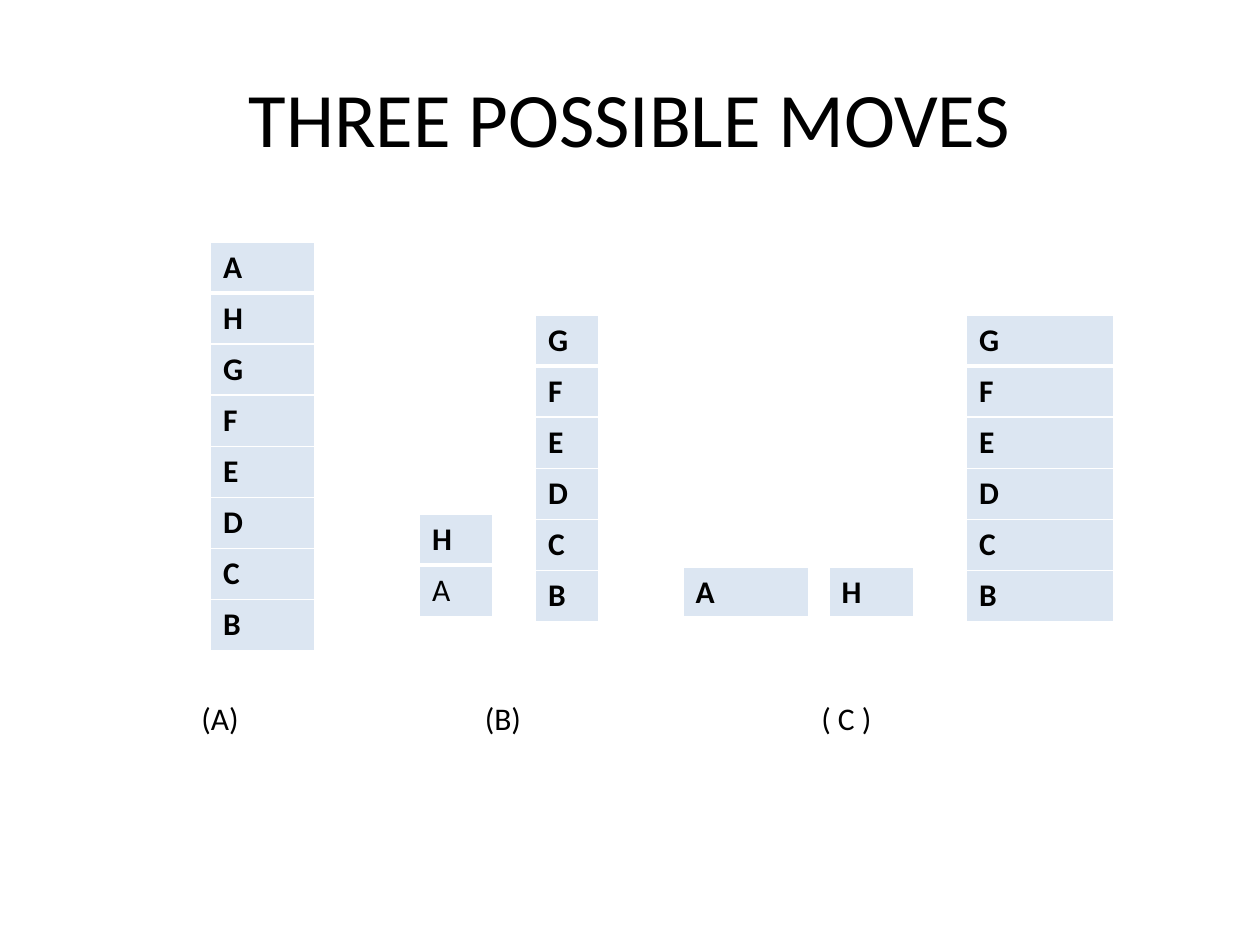
import dataclasses

import lxml.etree
import pptx
import pptx.dml.color
import pptx.enum.text
import pptx.oxml.ns
import pptx.util

Inches = pptx.util.Inches
Pt = pptx.util.Pt


@dataclasses.dataclass(frozen=True)
class Theme:
    font: str = "Calibri"
    text: str = "000000"
    block: str = "DCE6F2"
    border: str = "FFFFFF"
    title_size: int = 44
    body_size: int = 18
    thin: int = 1
    thick: int = 3
    row_height: int = Inches(3.24) // 8


class SlideBuilder:
    def __init__(self, prs, theme):
        self.theme = theme
        self.slide = prs.slides.add_slide(prs.slide_layouts[5])

    def add_run(self, p, text, size, bold=False):
        r = p.add_run()
        r.text = text
        r.font.name = self.theme.font
        r.font.size = Pt(size)
        r.font.bold = bold
        r.font.color.rgb = pptx.dml.color.RGBColor.from_string(self.theme.text)

    def title(self, text, left, top, width, height):
        sp = self.slide.shapes.title
        sp.left, sp.top = Inches(left), Inches(top)
        sp.width, sp.height = Inches(width), Inches(height)
        tf = sp.text_frame
        tf.vertical_anchor = pptx.enum.text.MSO_ANCHOR.MIDDLE
        p = tf.paragraphs[0]
        p.alignment = pptx.enum.text.PP_ALIGN.CENTER
        self.add_run(p, text, self.theme.title_size)

    def label(self, text, left, top, width, height):
        sp = self.slide.shapes.add_textbox(
            Inches(left), Inches(top), Inches(width), Inches(height))
        tf = sp.text_frame
        tf.word_wrap = True
        tf.auto_size = pptx.enum.text.MSO_AUTO_SIZE.SHAPE_TO_FIT_TEXT
        self.add_run(tf.paragraphs[0], text, self.theme.body_size)

    def cell_borders(self, cell, widths):
        """Draw the borders; widths maps each side (L, R, T, B) to points."""
        qn = pptx.oxml.ns.qn
        tc_pr = cell._tc.get_or_add_tcPr()
        for side, width in widths.items():
            ln = lxml.etree.SubElement(tc_pr, qn(f"a:ln{side}"), w=str(Pt(width)))
            fill = lxml.etree.SubElement(ln, qn("a:solidFill"))
            lxml.etree.SubElement(fill, qn("a:srgbClr"), val=self.theme.border)

    def stack(self, letters, left, top, width, plain=""):
        """Pile one block per letter, top first; letters in plain are not bold."""
        theme = self.theme
        table = self.slide.shapes.add_table(
            len(letters), 1, Inches(left), Inches(top), Inches(width),
            theme.row_height * len(letters)).table
        table.first_row = table.horz_banding = False
        for i, letter in enumerate(letters):
            cell = table.cell(i, 0)
            self.cell_borders(cell, {
                "L": theme.thin,
                "R": theme.thin,
                "T": theme.thick if i == 1 else theme.thin,
                "B": theme.thick if i == 0 else theme.thin,
            })
            cell.fill.solid()
            cell.fill.fore_color.rgb = pptx.dml.color.RGBColor.from_string(theme.block)
            self.add_run(cell.text_frame.paragraphs[0], letter,
                         theme.body_size, bold=letter not in plain)


def main():
    prs = pptx.Presentation()
    prs.slide_width, prs.slide_height = Inches(10), Inches(7.5)
    s = SlideBuilder(prs, Theme())

    s.title("THREE POSSIBLE MOVES", 0.5, 0.3, 9, 1.25)

    s.stack("AHGFEDCB", 1.67, 1.92, 0.83)
    s.stack("GFEDCB", 4.25, 2.5, 0.5)
    s.stack("HA", 3.33, 4.08, 0.58, plain="A")
    s.stack("GFEDCB", 7.67, 2.5, 1.17)
    s.stack("H", 6.58, 4.5, 0.67)
    s.stack("A", 5.42, 4.5, 1)

    for text, left, width in (("(A)", 1.5, 1), ("(B)", 3.75, 1.17), ("( C )", 6.42, 2.42)):
        s.label(text, left, 5.5, width, 0.4)

    prs.save("out.pptx")


if __name__ == "__main__":
    main()
